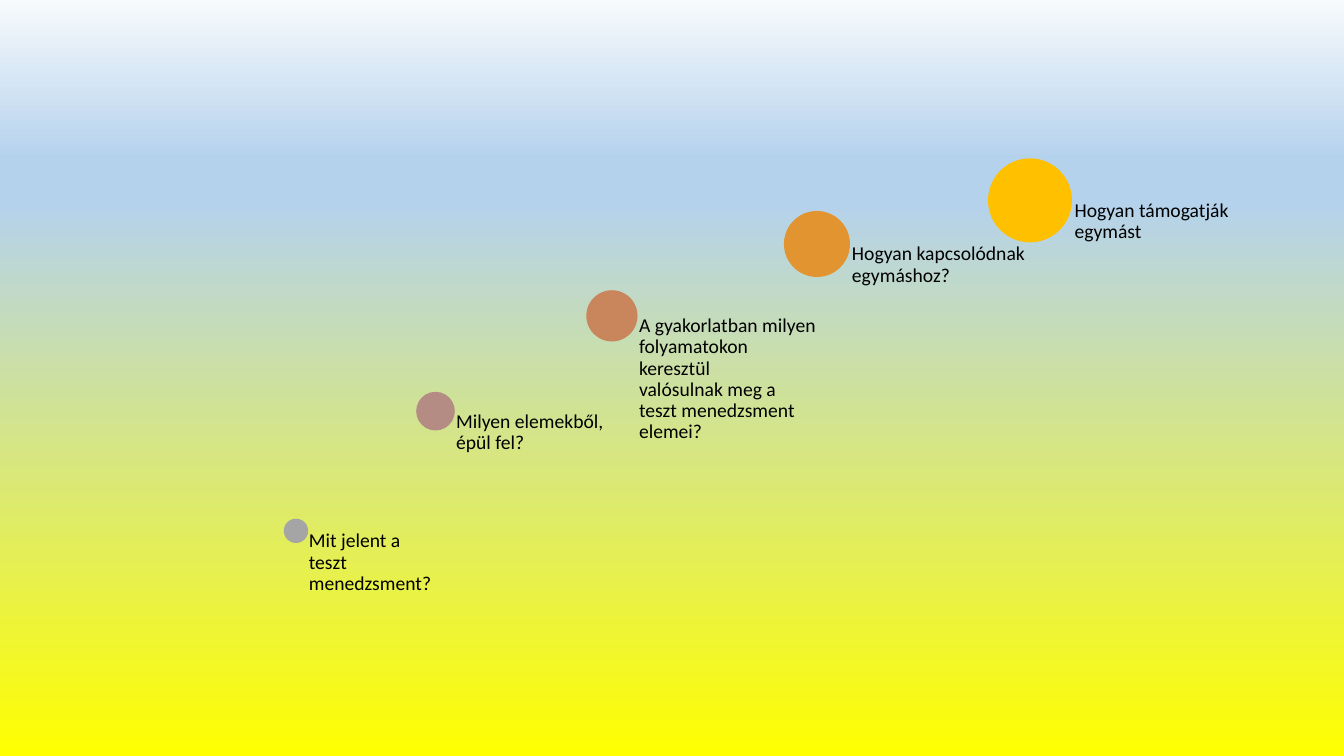
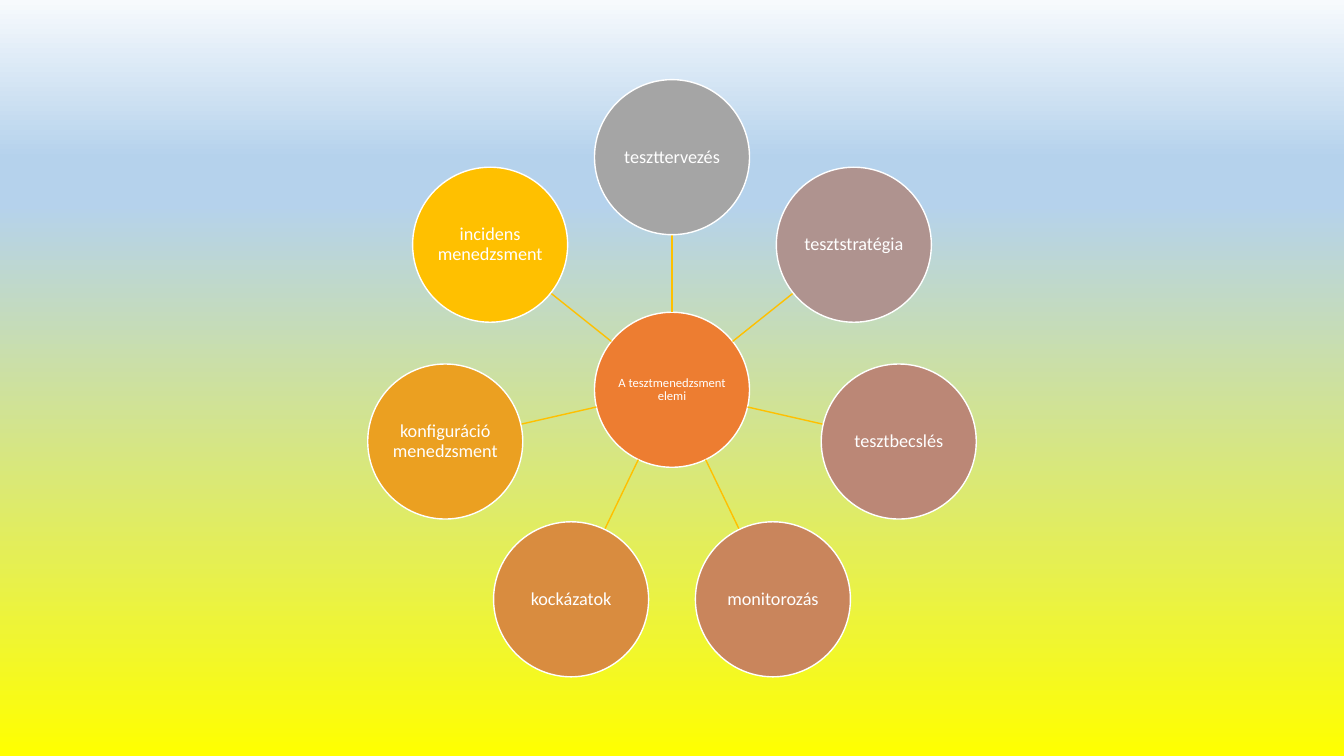
from colorsys import hls_to_rgb
from dataclasses import dataclass
from math import cos, pi, sin

from lxml.etree import SubElement
from pptx import Presentation
from pptx.dml.color import RGBColor
from pptx.enum.shapes import MSO_CONNECTOR as Connector, MSO_SHAPE as Shape
from pptx.enum.text import MSO_ANCHOR as Anchor, PP_ALIGN as Align
from pptx.oxml.ns import qn
from pptx.util import Inches, Pt

COLUMNS, ROWS = 160, 90
CELL = Inches(7.5) / ROWS


@dataclass(frozen=True)
class Theme:
    font: str = "Calibri"
    text: str = "000000"
    light: str = "FFFFFF"
    hub: str = "ED7D31"
    spoke: str = "FFC000"
    # Hue, lightness and saturation at both ends of the colour scale
    scale_start: tuple = (0, 0.647, 0)
    scale_end: tuple = (0.1255, 0.5, 1)
    background: tuple = ((0, "F7FAFD"), (21, "B5D2EC"), (27, "B5D2EC"), (100, "FFFF00"))
    question_size: int = 14
    node_size: int = 13
    hub_size: int = 9
    line_width: int = 1
    line_spacing: float = 0.9


THEME = Theme()

# Centre column, centre row, dot diameter, text width, text
QUESTIONS = [
    (35.24, 63.2, 2.9, 16.6, "Mit jelent a teszt menedzsment?"),
    (51.85, 48.95, 4.6, 21, "Milyen elemekből, épül fel?"),
    (72.85, 37.6, 6.1, 24.5,
     "A gyakorlatban milyen folyamatokon keresztül\vvalósulnak meg a teszt menedzsment elemei?"),
    (97.26, 29.05, 7.86, 25.3, "Hogyan kapcsolódnak egymáshoz?"),
    (122.62, 23.85, 10, 25.3, "Hogyan támogatják egymást"),
]
QUESTIONS_BOTTOM = 82.1
INSET_SHARE = 0.53

HUB_TEXT = "A tesztmenedzsment elemi"
ELEMENTS = ["teszttervezés", "tesztstratégia", "tesztbecslés", "monitorozás",
            "kockázatok", "konfiguráció menedzsment", "incidens menedzsment"]
HUB_CENTRE = (80, 46.4)
NODE_RADIUS = 9.23
ORBIT_RADIUS = 3 * NODE_RADIUS


def grid(cells):
    return round(cells * CELL)


def rgb(value):
    return RGBColor.from_string(value)


def scale_colour(index, count):
    """Step of the grey-to-amber scale, blended in hue, lightness and saturation."""
    share = index / (count - 1)
    hls = [start + (end - start) * share
           for start, end in zip(THEME.scale_start, THEME.scale_end)]
    return RGBColor(*(round(channel * 255) for channel in hls_to_rgb(*hls)))


def set_background(master):
    """Give all slides the shared vertical gradient."""
    fill = master.background.fill
    fill.gradient()
    fill.gradient_angle = 270
    stops = master.element.find(".//" + qn("a:gsLst"))
    for stop in list(stops):
        stops.remove(stop)
    for percent, colour in THEME.background:
        stop = SubElement(stops, qn("a:gs"), pos=str(percent * 1000))
        SubElement(stop, qn("a:srgbClr"), val=colour)


def write(text_frame, text, size, colour, align=Align.LEFT):
    text_frame.word_wrap = True
    text_frame.text = text
    paragraph = text_frame.paragraphs[0]
    paragraph.alignment = align
    paragraph.line_spacing = THEME.line_spacing
    for run in paragraph.runs:
        run.font.name = THEME.font
        run.font.size = Pt(size)
        run.font.color.rgb = rgb(colour)


def set_insets(text_frame, left, others):
    text_frame.margin_left = left
    text_frame.margin_top = text_frame.margin_right = text_frame.margin_bottom = others


def add_circle(slide, column, row, radius, colour):
    circle = slide.shapes.add_shape(
        Shape.OVAL, grid(column - radius), grid(row - radius),
        grid(2 * radius), grid(2 * radius))
    circle.shadow.inherit = False
    circle.fill.solid()
    circle.fill.fore_color.rgb = colour
    circle.line.fill.background()
    return circle


def add_question(slide, column, row, diameter, width, text, colour):
    add_circle(slide, column, row, diameter / 2, colour)
    box = slide.shapes.add_textbox(
        grid(column), grid(row), grid(width), grid(QUESTIONS_BOTTOM - row))
    set_insets(box.text_frame, grid(diameter * INSET_SHARE), 0)
    write(box.text_frame, text, THEME.question_size, THEME.text)


def add_node(slide, centre, text, size, colour):
    circle = add_circle(slide, *centre, NODE_RADIUS, colour)
    circle.line.color.rgb = rgb(THEME.light)
    circle.line.width = Pt(THEME.line_width)
    circle.text_frame.vertical_anchor = Anchor.MIDDLE
    set_insets(circle.text_frame, Inches(0.01), Inches(0.01))
    write(circle.text_frame, text, size, THEME.light, Align.CENTER)


def around_hub(angle, radius):
    """Point at a clockwise angle from the top of the hub."""
    column, row = HUB_CENTRE
    return column + radius * sin(angle), row - radius * cos(angle)


def add_spoke(slide, angle):
    ends = [*around_hub(angle, NODE_RADIUS), *around_hub(angle, ORBIT_RADIUS - NODE_RADIUS)]
    spoke = slide.shapes.add_connector(Connector.STRAIGHT, *map(grid, ends))
    spoke.line.color.rgb = rgb(THEME.spoke)
    spoke.line.width = Pt(THEME.line_width)
    SubElement(spoke.element.spPr, qn("a:effectLst"))


def build_questions(slide):
    for index, question in enumerate(QUESTIONS):
        add_question(slide, *question, scale_colour(index, len(QUESTIONS)))


def build_elements(slide):
    add_node(slide, HUB_CENTRE, HUB_TEXT, THEME.hub_size, rgb(THEME.hub))
    count = len(ELEMENTS)
    for index, text in enumerate(ELEMENTS):
        angle = 2 * pi * index / count
        add_spoke(slide, angle)
        add_node(slide, around_hub(angle, ORBIT_RADIUS), text,
                 THEME.node_size, scale_colour(index, count))


def main():
    presentation = Presentation()
    presentation.slide_width = grid(COLUMNS)
    presentation.slide_height = grid(ROWS)
    set_background(presentation.slide_master)
    blank = presentation.slide_layouts[6]
    for build in (build_questions, build_elements):
        build(presentation.slides.add_slide(blank))
    presentation.save("out.pptx")


if __name__ == "__main__":
    main()
